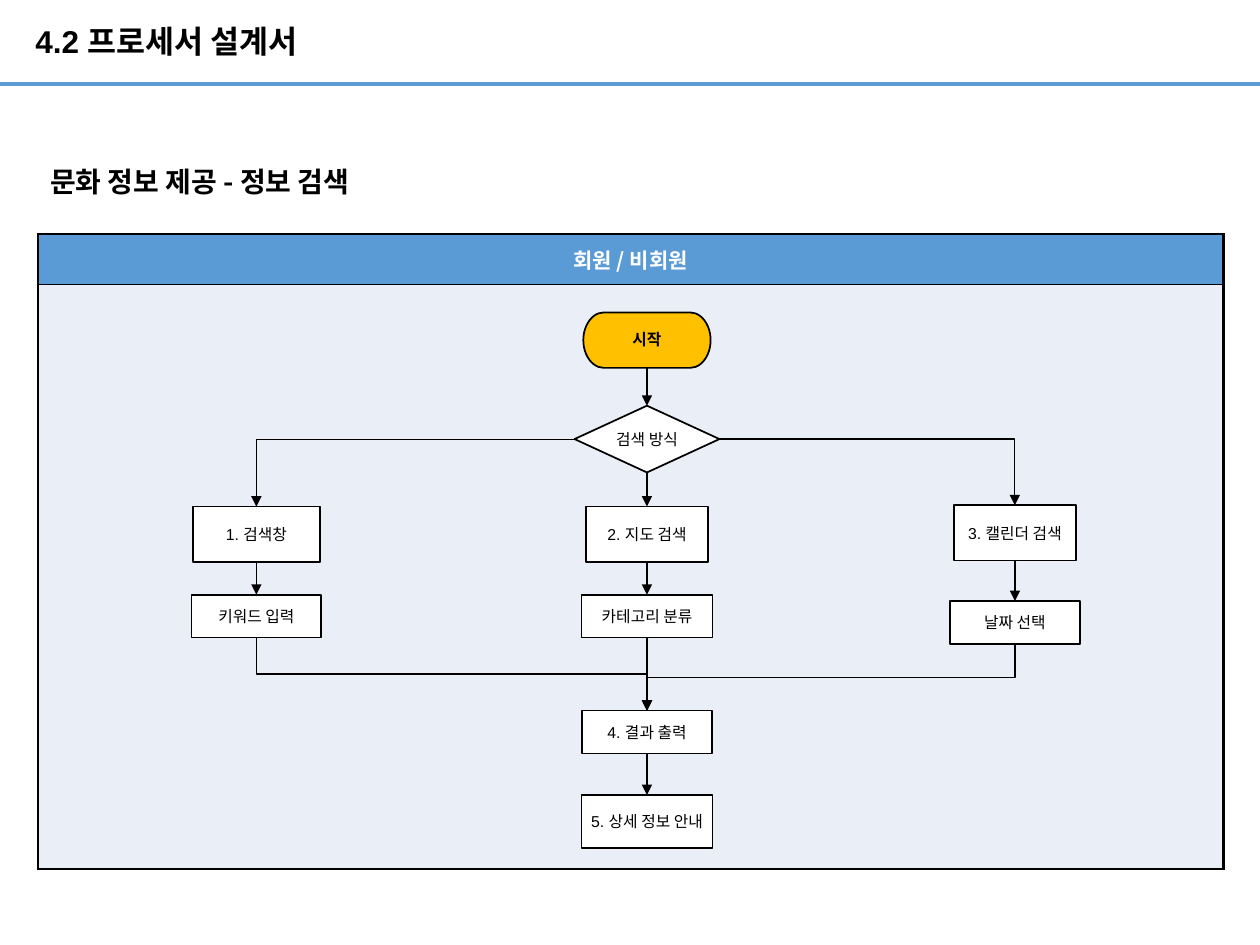
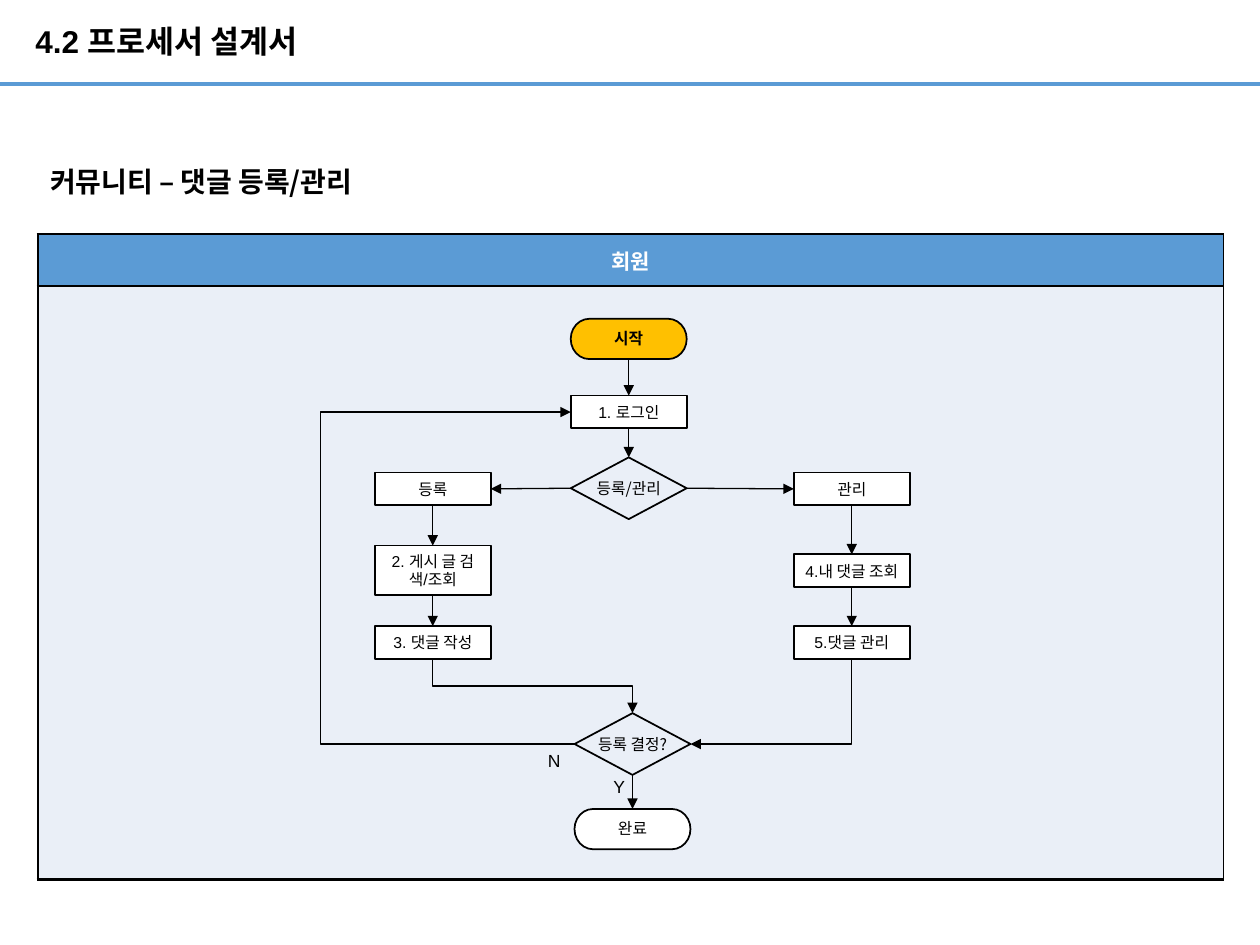
from itertools import pairwise

from lxml.etree import SubElement
from pptx import Presentation
from pptx.dml.color import RGBColor
from pptx.enum.shapes import MSO_CONNECTOR as Connector, MSO_SHAPE as Preset
from pptx.enum.text import MSO_ANCHOR as Anchor, MSO_AUTO_SIZE as AutoSize, PP_ALIGN as Align
from pptx.oxml.ns import qn
from pptx.util import Inches, Pt

COLORS = {
    "ink": "000000",
    "paper": "FFFFFF",
    "band": "5B9BD5",
    "lane": "EAEFF7",
    "start": "FFC000",
}
LATIN, KOREAN = "Arial", "Noto Sans CJK KR"
TOP, LEFT, BOTTOM, RIGHT = range(4)

# The slide is a grid of 100 columns by 75 rows
COLUMNS, ROWS = 100, 75
CELL = Inches(10) // COLUMNS


def grid(*counts):
    return [round(count * CELL) for count in counts]


def color(name):
    return RGBColor.from_string(COLORS[name])


# ---- Text ----
def write(frame, text, size, font=LATIN, ink="ink", bold=False, align=Align.LEFT,
          spacing=None):
    paragraph = frame.paragraphs[0]
    paragraph.alignment = align
    if spacing:
        paragraph.line_spacing = spacing
    run = paragraph.add_run()
    run.text = text
    run.font.name = font
    run.font.size = Pt(size)
    run.font.bold = bold
    run.font.color.rgb = color(ink)
    SubElement(run.font._element, qn("a:ea"), typeface=KOREAN)


def set_insets(frame, horizontal, vertical):
    frame.margin_left = frame.margin_right = Inches(horizontal)
    frame.margin_top = frame.margin_bottom = Inches(vertical)


def add_label(slide, box, text, size, **style):
    frame = slide.shapes.add_textbox(*grid(*box)).text_frame
    frame.word_wrap = True
    frame.auto_size = AutoSize.SHAPE_TO_FIT_TEXT
    write(frame, text, size, **style)


# ---- Connectors ----
def style_line(connector, ink, width, arrow=False):
    connector.line.color.rgb = color(ink)
    connector.line.width = Pt(width)
    if arrow:
        SubElement(connector.line._get_or_add_ln(), qn("a:tailEnd"), type="triangle")
    SubElement(connector._element.spPr, qn("a:effectLst"))


def join(slide, kind, begin, begin_side, end, end_side):
    connector = slide.shapes.add_connector(kind, 0, 0, 0, 0)
    connector.begin_connect(begin, begin_side)
    connector.end_connect(end, end_side)
    style_line(connector, "ink", 0.75, arrow=True)
    return connector


def link(slide, begin, end, begin_side=BOTTOM, end_side=TOP):
    join(slide, Connector.STRAIGHT, begin, begin_side, end, end_side)


def chain(slide, *steps):
    for upper, lower in pairwise(steps):
        link(slide, upper, lower)


def elbow(slide, begin, begin_side, end, end_side, lane=None):
    """Bent arrow; lane is the grid column of a detour outside both ends."""
    connector = join(slide, Connector.ELBOW, begin, begin_side, end, end_side)
    x1, y1 = connector.begin_x, connector.begin_y
    x2, y2 = connector.end_x, connector.end_y
    leftward, turned = x2 < x1, begin_side == BOTTOM
    width, height = abs(x2 - x1), abs(y2 - y1)
    if turned:
        width, height = height, width
    xfrm = connector._element.spPr.find(qn("a:xfrm"))
    for flip in ("flipH", "flipV"):
        xfrm.attrib.pop(flip, None)
    connector.left, connector.top = (x1 + x2 - width) // 2, (y1 + y2 - height) // 2
    connector.width, connector.height = width, height

    # Turn the preset path so that it leaves the begin side
    if turned:
        degrees = 90 if leftward else 270
    else:
        degrees = 180 if leftward else 0
    xfrm.set("rot", str(degrees * 60000))
    if turned and not leftward:
        xfrm.set("flipH", "1")
    elif leftward and not turned and y2 > y1:
        xfrm.set("flipV", "1")

    geometry = connector._element.spPr.find(qn("a:prstGeom"))
    if (begin_side in (LEFT, RIGHT)) != (end_side in (LEFT, RIGHT)):
        geometry.set("prst", "bentConnector2")
    elif lane is not None:
        share = (x1 - grid(lane)[0]) / (x1 - x2)
        guides = geometry.find(qn("a:avLst"))
        if guides is None:
            guides = SubElement(geometry, qn("a:avLst"))
        SubElement(guides, qn("a:gd"), name="adj1", fmla=f"val {round(share * 100000)}")


# ---- Flow chart steps, placed by centre column and top row ----
def add_step(slide, preset, text, center, top, width, height, fill="paper", inset=0,
             **style):
    shape = slide.shapes.add_shape(preset, *grid(center - width / 2, top, width, height))
    shape.shadow.inherit = False
    if fill:
        shape.fill.solid()
        shape.fill.fore_color.rgb = color(fill)
    else:
        shape.fill.background()
    shape.line.color.rgb = color("ink")
    shape.line.width = Pt(1)
    frame = shape.text_frame
    frame.word_wrap = preset != Preset.FLOWCHART_DECISION
    frame.vertical_anchor = Anchor.MIDDLE
    set_insets(frame, inset or 0.02, inset)
    write(frame, text, 9, align=Align.CENTER, **style)
    return shape


def add_box(slide, text, center, top, width, height):
    return add_step(slide, Preset.RECTANGLE, text, center, top, width, height)


def add_terminator(slide, text, center, top, width, height, **style):
    return add_step(slide, Preset.FLOWCHART_TERMINATOR, text, center, top, width, height,
                    spacing=0.9, **style)


def add_decision(slide, text, center, top, width, height, **style):
    return add_step(slide, Preset.FLOWCHART_DECISION, text, center, top, width, height,
                    inset=0.04, **style)


# ---- Swimlane table ----
def fill_cell(cell, fill, borders):
    properties = cell._tc.get_or_add_tcPr()
    for side, width in zip(("lnL", "lnR", "lnT", "lnB"), borders):
        line = SubElement(properties, qn(f"a:{side}"), w=str(Pt(width)))
        SubElement(SubElement(line, qn("a:solidFill")), qn("a:srgbClr"), val=COLORS["ink"])
    cell.fill.solid()
    cell.fill.fore_color.rgb = color(fill)


def add_swimlane(slide, actor, header_rows, lane_rows, right_border):
    box = grid(3, 18.6, 94.1, header_rows + lane_rows)
    table = slide.shapes.add_table(2, 1, *box).table
    for row, height in zip(table.rows, grid(header_rows, lane_rows)):
        row.height = height
    header, lane = table.cell(0, 0), table.cell(1, 0)
    fill_cell(header, "band", (1.5, right_border, 1.5, 0.75))
    fill_cell(lane, "lane", (1.5, right_border, 0.75, 1.5))
    header.vertical_anchor = Anchor.MIDDLE
    write(header.text_frame, actor, 12, font=KOREAN, ink="paper", bold=True,
          align=Align.CENTER)


# ---- Shared slide frame ----
def add_process_slide(presentation, heading):
    slide = presentation.slides.add_slide(presentation.slide_layouts[5])
    rule = slide.shapes.add_connector(Connector.STRAIGHT, *grid(0, 6.7, COLUMNS, 6.7))
    style_line(rule, "band", 2.25)
    title = slide.shapes.title
    title.left, title.top, title.width, title.height = grid(2.8, 0, 65.4, 6.8)
    frame = title.text_frame
    frame.auto_size = AutoSize.NONE
    frame.vertical_anchor = Anchor.MIDDLE
    set_insets(frame, 0, 0)
    write(frame, "4.2 프로세서 설계서", 18, bold=True, spacing=0.9)
    add_label(slide, (3, 12.6, 38.5, 3.7), heading, 16, font=KOREAN, bold=True)
    return slide


def build_search(presentation):
    slide = add_process_slide(presentation, "문화 정보 제공 - 정보 검색")
    add_swimlane(slide, "회원 / 비회원", 4, 46.4, right_border=1.5)
    left, middle, right = 20.35, 51.35, 80.55

    start = add_terminator(slide, "시작", middle, 24.8, 10.1, 4.4, fill="start", bold=True)
    method = add_decision(slide, "검색 방식", middle, 32.2, 11.5, 5.3)
    search = add_box(slide, "1. 검색창", left, 40.2, 10.1, 4.4)
    keyword = add_box(slide, "키워드 입력", left, 47.2, 10.3, 3.4)
    map_search = add_box(slide, "2. 지도 검색", middle, 40.2, 9.7, 4.4)
    category = add_box(slide, "카테고리 분류", middle, 47.2, 10.4, 3.4)
    calendar = add_box(slide, "3. 캘린더 검색", right, 40.1, 9.7, 4.4)
    date = add_box(slide, "날짜 선택", right, 47.7, 10.3, 3.4)
    result = add_box(slide, "4. 결과 출력", middle, 56.4, 10.3, 3.4)
    detail = add_box(slide, "5. 상세 정보 안내", middle, 63.1, 10.4, 4.2)

    chain(slide, start, method, map_search, category, result, detail)
    chain(slide, search, keyword)
    chain(slide, calendar, date)
    elbow(slide, method, LEFT, search, TOP)
    elbow(slide, method, RIGHT, calendar, TOP)
    for source in (keyword, date):
        elbow(slide, source, BOTTOM, result, TOP)


def build_comments(presentation):
    slide = add_process_slide(presentation, "커뮤니티 – 댓글 등록/관리")
    add_swimlane(slide, "회원", 4.1, 47.1, right_border=0.75)
    left, middle, right, finish = 34.35, 49.9, 67.6, 50.2
    width, box, pill, diamond = 9.2, 2.6, 3.2, 4.9

    start = add_terminator(slide, "시작", middle, 25.3, width, pill, fill="start", bold=True)
    login = add_box(slide, "1. 로그인", middle, 31.4, width, box)
    choice = add_decision(slide, "등록/관리", middle, 36.3, width, diamond, fill=None,
                          font=KOREAN)
    register = add_box(slide, "등록", left, 37.5, width, box)
    browse = add_box(slide, "2. 게시 글 검색/조회", left, 43.3, width, 3.9)
    compose = add_box(slide, "3. 댓글 작성", left, 49.7, width, box)
    manage = add_box(slide, "관리", right, 37.5, width, box)
    own = add_box(slide, "4.내 댓글 조회", right, 44, width, box)
    edit = add_box(slide, "5.댓글 관리", right, 49.7, width, box)
    confirm = add_decision(slide, "등록 결정?", finish, 56.6, width, diamond, fill=None,
                           font=KOREAN)
    done = add_terminator(slide, "완료", finish, 64.2, width, pill)
    add_label(slide, (47.7, 61.1, 2.6, 2.7), "Y", 10)
    add_label(slide, (42.5, 59, 2.9, 2.7), "N", 10)

    chain(slide, start, login, choice)
    chain(slide, register, browse, compose)
    chain(slide, manage, own, edit)
    chain(slide, confirm, done)
    link(slide, choice, register, LEFT, RIGHT)
    link(slide, choice, manage, RIGHT, LEFT)
    elbow(slide, compose, BOTTOM, confirm, TOP)
    elbow(slide, edit, BOTTOM, confirm, RIGHT)
    elbow(slide, confirm, LEFT, login, LEFT, lane=25.4)


def main():
    presentation = Presentation()
    presentation.slide_width, presentation.slide_height = grid(COLUMNS, ROWS)
    build_search(presentation)
    build_comments(presentation)
    presentation.save("out.pptx")


if __name__ == "__main__":
    main()
